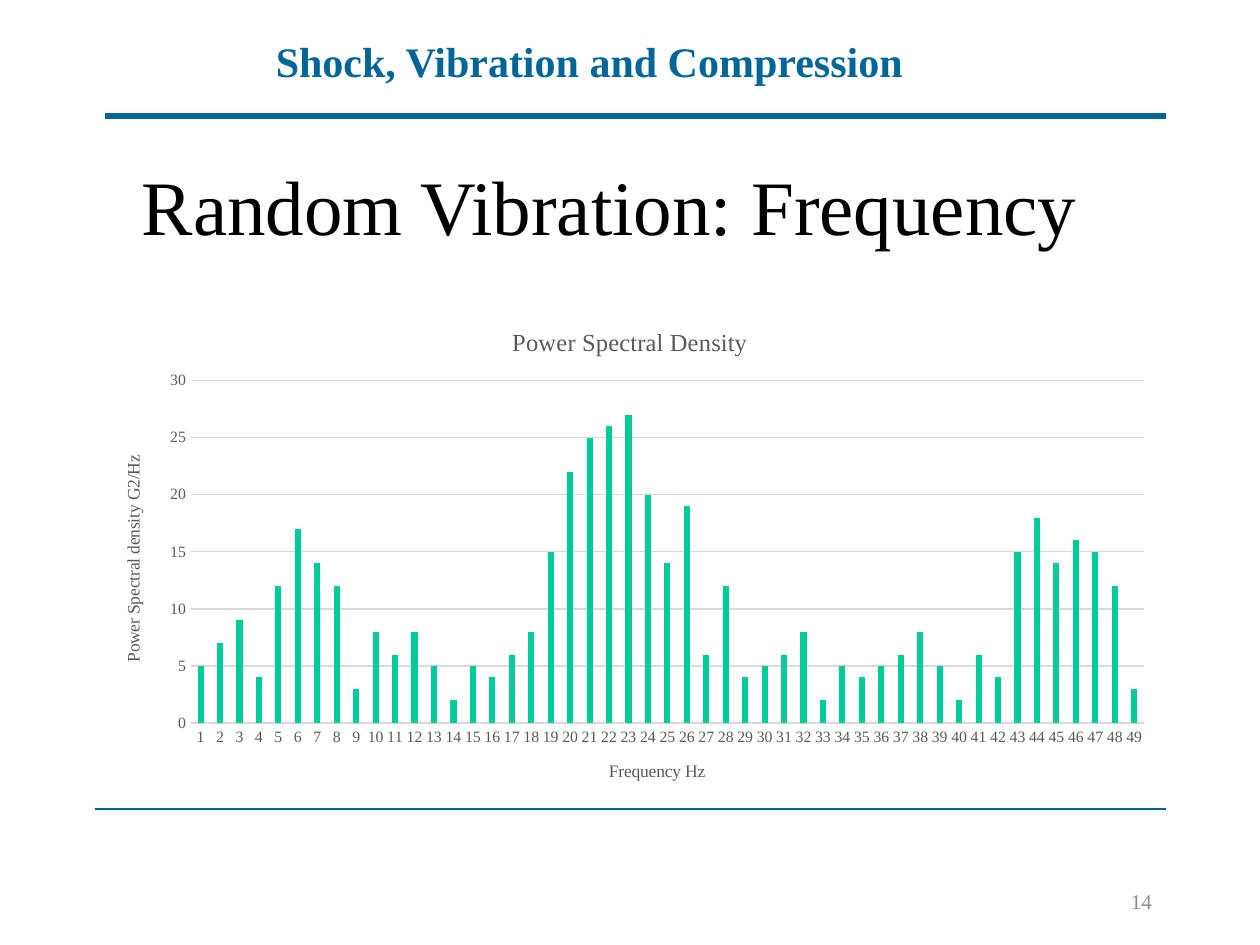
"""Build the random vibration frequency slide with its power spectral density chart."""
from lxml.etree import SubElement
from pptx import Presentation
from pptx.chart.data import CategoryChartData
from pptx.dml.color import RGBColor
from pptx.enum.chart import XL_CHART_TYPE, XL_TICK_MARK
from pptx.enum.shapes import MSO_CONNECTOR
from pptx.enum.text import MSO_ANCHOR, PP_ALIGN
from pptx.oxml import parse_xml
from pptx.oxml.ns import nsdecls, qn
from pptx.util import Inches, Pt

BLUE = RGBColor(0x00, 0x66, 0x99)
BLACK = RGBColor(0x00, 0x00, 0x00)
GREEN = RGBColor(0x00, 0xCC, 0x99)
PAGE_GRAY = RGBColor(0x8C, 0x8C, 0x8C)
LABEL_GRAY = RGBColor(0x59, 0x59, 0x59)
GRID_GRAY = RGBColor(0xD9, 0xD9, 0xD9)
FONT = "Times New Roman"

TEXTS = [
    ("Shock, Vibration and Compression", (2.09, 0.23, 5.28, 0.5),
     PP_ALIGN.LEFT, MSO_ANCHOR.TOP, {"size": Pt(24), "bold": True}, BLUE),
    ("Random Vibration: Frequency", (0.59, 1, 8.5, 1.25),
     PP_ALIGN.CENTER, MSO_ANCHOR.MIDDLE, {"size": Pt(44)}, BLACK),
    ("14", (8.07, 6.95, 1.17, 0.4),
     PP_ALIGN.RIGHT, MSO_ANCHOR.MIDDLE, {"size": Pt(12)}, PAGE_GRAY),
]
RULES = [(0.83, 9.25, 0.92, 3), (0.75, 9.25, 6.42, 0.75)]
CHART_BOX = (0.75, 2.42, 8.5, 4)
CHART_TITLE = "Power Spectral Density"
CATEGORY_TITLE = "Frequency Hz"
VALUE_TITLE = "Power Spectral density G2/Hz"
PLOT_AREA = {"x": 0.09, "y": 0.15, "w": 0.89, "h": 0.68}
DENSITIES = [
    5, 7, 9, 4, 12, 17, 14, 12, 3, 8, 6, 8, 5, 2, 5, 4, 6, 8, 15, 22, 25, 26, 27, 20, 14,
    19, 6, 12, 4, 5, 6, 8, 2, 5, 4, 5, 6, 8, 5, 2, 6, 4, 15, 18, 14, 16, 15, 12, 3,
]


def style_font(font, color, values):
    for name, value in {"name": FONT, "bold": False, **values}.items():
        setattr(font, name, value)
    font.color.rgb = color


def style_line(line, color, width):
    line.color.rgb = color
    line.width = Pt(width)


def add_text(page, text, place, alignment, anchor, values, color):
    box = page.shapes.add_textbox(*map(Inches, place))
    frame = box.text_frame
    frame.word_wrap = True
    frame.vertical_anchor = anchor
    para = frame.paragraphs[0]
    para.alignment = alignment
    span = para.add_run()
    span.text = text
    style_font(span.font, color, values)


def add_rule(page, left, right, top, width):
    rule = page.shapes.add_connector(
        MSO_CONNECTOR.STRAIGHT, *map(Inches, (left, top, right, top)))
    style_line(rule.line, BLUE, width)
    SubElement(rule.element.spPr, qn("a:effectLst"))


def set_title(title, text, size):
    para = title.text_frame.paragraphs[0]
    span = para.add_run()
    span.text = text
    style_font(span.font, LABEL_GRAY, {"size": Pt(size)})


def set_plot_area(chart):
    area = chart.element.find(".//" + qn("c:plotArea"))
    for old in area.findall(qn("c:layout")):
        area.remove(old)
    layout = parse_xml(f"<c:layout {nsdecls('c')}><c:manualLayout/></c:layout>")
    settings = {"layoutTarget": "inner", "xMode": "edge", "yMode": "edge", **PLOT_AREA}
    for name, value in settings.items():
        SubElement(layout[0], qn(f"c:{name}")).set("val", str(value))
    area.insert(0, layout)


def add_density_chart(page):
    data = CategoryChartData()
    data.categories = [str(number) for number in range(1, len(DENSITIES) + 1)]
    data.add_series("Series 1", DENSITIES)
    chart = page.shapes.add_chart(
        XL_CHART_TYPE.COLUMN_CLUSTERED, *map(Inches, CHART_BOX), data).chart
    style_font(chart.font, BLACK, {"size": Pt(10)})
    chart.has_legend = False
    set_title(chart.chart_title, CHART_TITLE, 14)
    for axis, title in ((chart.category_axis, CATEGORY_TITLE), (chart.value_axis, VALUE_TITLE)):
        set_title(axis.axis_title, title, 10)
        style_font(axis.tick_labels.font, LABEL_GRAY, {"size": Pt(9)})
        axis.major_tick_mark = axis.minor_tick_mark = XL_TICK_MARK.NONE
    style_line(chart.category_axis.format.line, GRID_GRAY, 0.75)
    chart.value_axis.format.line.fill.background()
    style_line(chart.value_axis.major_gridlines.format.line, GRID_GRAY, 0.75)
    plot = chart.plots[0]
    for name, value in {"gap_width": 219, "overlap": -27, "vary_by_categories": False}.items():
        setattr(plot, name, value)
    fill = plot.series[0].format.fill
    fill.solid()
    fill.fore_color.rgb = GREEN
    set_plot_area(chart)


def main():
    deck = Presentation()
    deck.slide_width, deck.slide_height = Inches(10), Inches(7.5)
    page = deck.slides.add_slide(deck.slide_layouts[6])
    for rule in RULES:
        add_rule(page, *rule)
    for text in TEXTS:
        add_text(page, *text)
    add_density_chart(page)
    deck.save("out.pptx")


if __name__ == "__main__":
    main()
